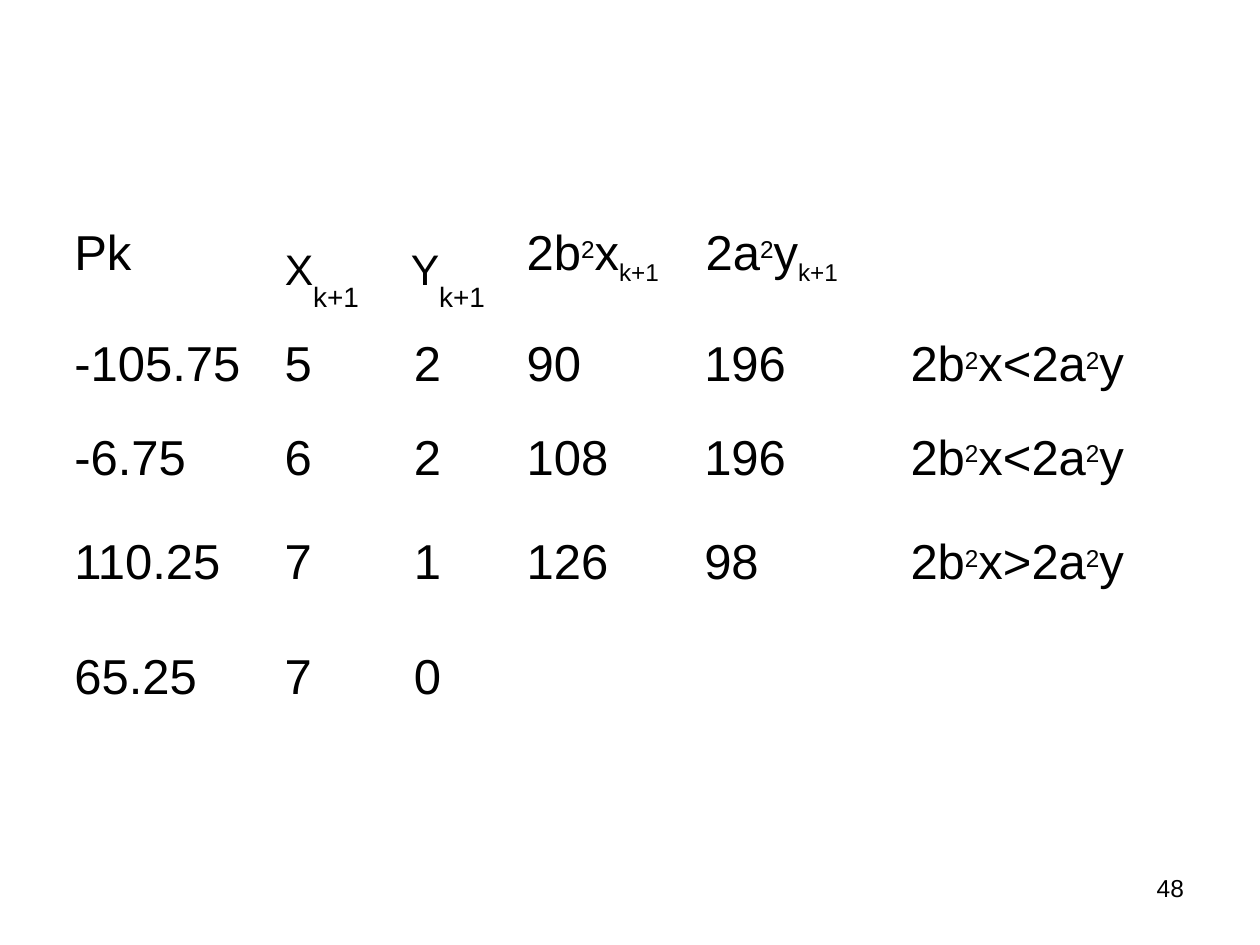
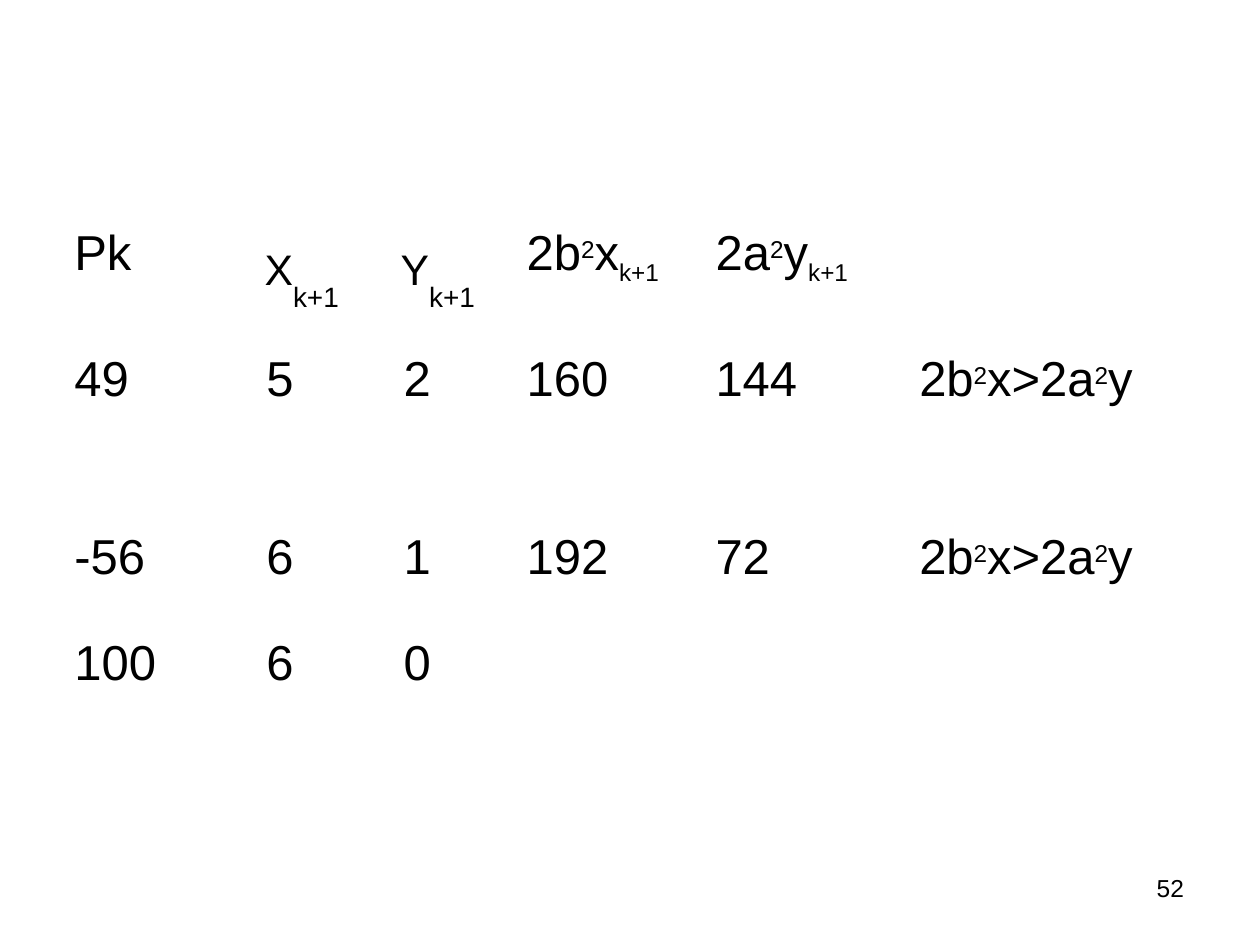
from dataclasses import dataclass

from pptx import Presentation
from pptx.dml.color import RGBColor as RGB
from pptx.enum.text import MSO_ANCHOR as ANCHOR, PP_ALIGN as ALIGN
from pptx.util import Inches, Pt


@dataclass(frozen=True)
class Theme:
    font: str = "Arial"
    ink: RGB = RGB(0, 0, 0)
    body: int = 28
    number: int = 14


THEME = Theme()
# Mark at the start of a text part: (size, baseline in 1/1000 percent)
MARKS = {"^": (24, 30000), "_": (24, -25000), "~": (42, 30000), ",": (16, 0)}


def write(p, text, size=THEME.body):
    """Fill a paragraph; parts are split by | and may start with a mark."""
    p.font.name, p.font.size = THEME.font, Pt(size)
    p.font.color.rgb = THEME.ink
    for part in text.split("|"):
        r = p.add_run()
        r.text = part
        if part[0] in MARKS:
            r.text = part[1:]
            mark_size, baseline = MARKS[part[0]]
            r.font.size = Pt(mark_size)
            r._r.get_or_add_rPr().set("baseline", str(baseline))


def add_label(s, text, left, top, width, height, indent=0.04, inset=0.01,
              size=THEME.body):
    sp = s.shapes.add_textbox(Inches(left), Inches(top), Inches(width), Inches(height))
    tf = sp.text_frame
    tf.word_wrap = True
    tf.margin_left, tf.margin_top = Inches(indent), Inches(inset)
    tf.margin_right = tf.margin_bottom = 0
    write(tf.paragraphs[0], text, size)
    return tf.paragraphs[0]


LESS, MORE = "2b|^2|x<2a|^2|y", "2b|^2|x>2a|^2|y"
L, R = ALIGN.LEFT, ALIGN.RIGHT

# Columns: width, alignment, indent; rows: height, top inset, line spacing, values
SLIDES = [
    dict(number="48", x_left=2.22, y_left=3.22, a_left=5.56, top=2.63,
         columns=[(1.53, L, 0.03), (0.78, L, 0.17), (0.96, R, 0.33),
                  (1.38, L, 0.35), (1.5, L, 0.38), (2.23, R, 0.02)],
         rows=[(0.63, 0, 1.11, ["-105.75", "5", "2", "90", "196", LESS]),
               (0.83, 0.16, 1, ["-6.75", "6", "2", "108", "196", LESS]),
               (0.83, 0.16, 1, ["110.25", "7", "1", "126", "98", MORE]),
               (0.63, 0.16, 1.18, ["65.25", "7", "0"])]),
    dict(number="52", x_left=2.06, y_left=3.14, a_left=5.64, top=2.75,
         columns=[(1.11, L, 0.03), (1.08, R, 0.42), (1.04, R, 0.37),
                  (1.47, L, 0.39), (1.53, L, 0.42), (2.22, R, 0.02)],
         rows=[(0.97, 0, 1.11, ["49", "5", "2", "160", "144", MORE]),
               (1.13, 0.49, 1, ["-56", "6", "1", "192", "72", MORE]),
               (0.6, 0.12, 1.18, ["100", "6", "0"])]),
]

prs = Presentation()
prs.slide_width, prs.slide_height = Inches(10), Inches(7.5)

for data in SLIDES:
    s = prs.slides.add_slide(prs.slide_layouts[6])

    # Page number
    p = add_label(s, data["number"], 9.14, 6.89, 0.3, 0.25, inset=0, size=THEME.number)
    p.line_spacing = 1.17

    # Column headings
    add_label(s, "Pk", 0.58, 1.75, 0.48, 0.49, indent=0.01)
    add_label(s, "~X|,k+1", data["x_left"], 1.85, 0.71, 0.49)
    add_label(s, "~Y|,k+1", data["y_left"], 1.85, 0.71, 0.49)
    add_label(s, "2b|^2|x|_k+1", 4.14, 1.75, 1.2, 0.49)
    add_label(s, "2a|^2|y|_k+1", data["a_left"], 1.75, 1.21, 0.49)

    # Iteration table
    columns, rows = data["columns"], data["rows"]
    width, height = sum(c[0] for c in columns), sum(r[0] for r in rows)
    table = s.shapes.add_table(len(rows), len(columns), Inches(0.56), Inches(data["top"]),
                               Inches(width), Inches(height)).table
    table.first_row = table.horz_banding = False
    for column, (column_width, _, _) in zip(table.columns, columns):
        column.width = Inches(column_width)
    for i, (row_height, inset, spacing, values) in enumerate(rows):
        table.rows[i].height = Inches(row_height)
        for j, (_, align, indent) in enumerate(columns):
            cell = table.cell(i, j)
            cell.fill.background()
            cell.vertical_anchor = ANCHOR.TOP
            cell.margin_left = Inches(indent if align == L else 0)
            cell.margin_right = Inches(indent if align == R else 0)
            cell.margin_top, cell.margin_bottom = Inches(inset), 0
            if j < len(values):
                p = cell.text_frame.paragraphs[0]
                p.alignment, p.line_spacing = align, spacing
                write(p, values[j])

prs.save("out.pptx")
